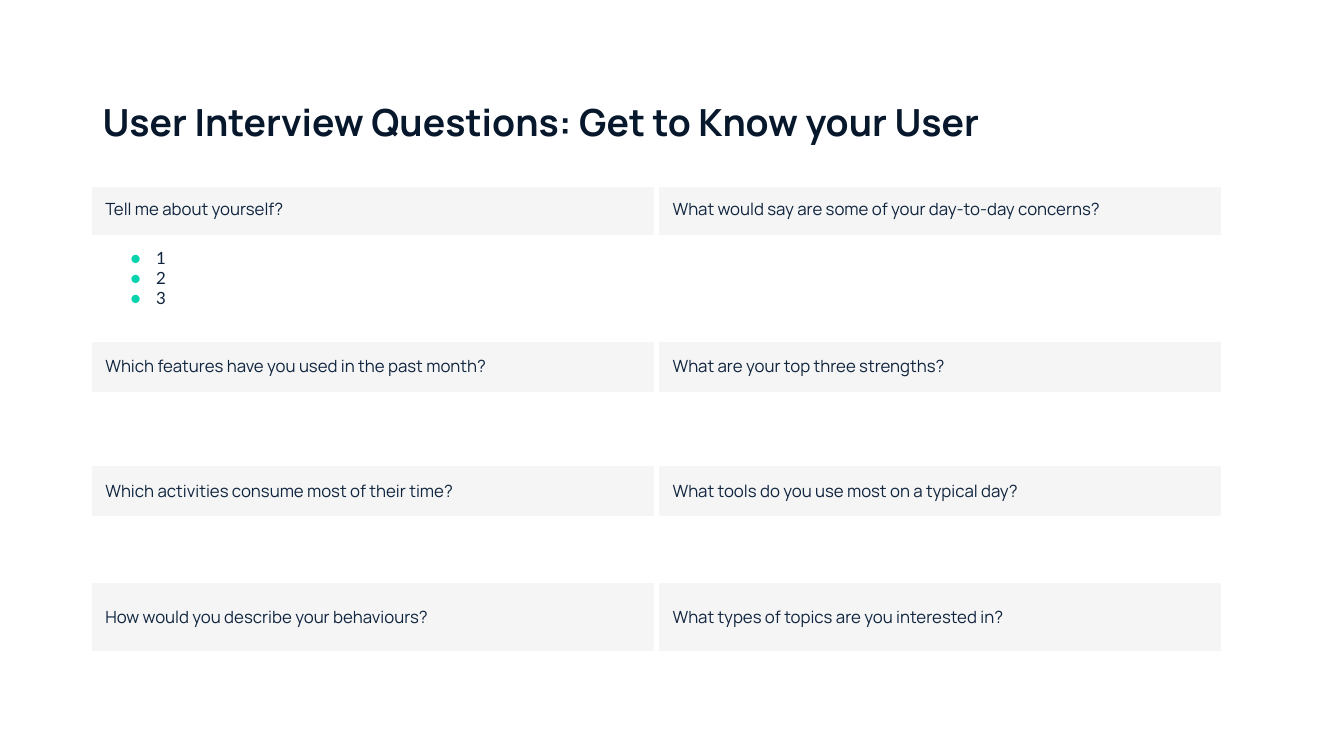
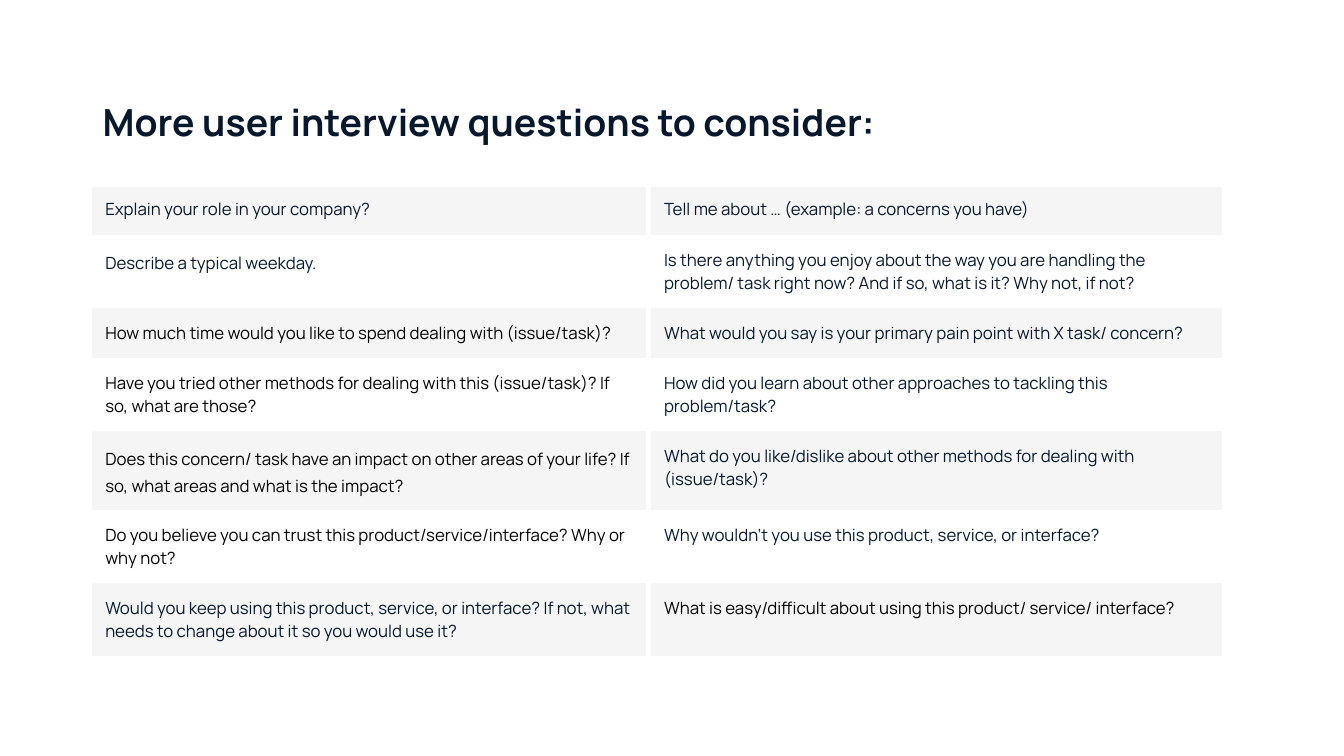
import pptx
import pptx.dml.color
import pptx.enum.text
import pptx.oxml
import pptx.oxml.ns
import pptx.util
from lxml import etree

Cm, Pt = pptx.util.Cm, pptx.util.Pt
qn = pptx.oxml.ns.qn

INK = {"navy": "07182C", "slate": "0F243E", "black": "000000",
       "band": "F5F5F5", "mint": "00D3AD", "white": "FFFFFF"}
FONT, LIST = "Manrope", "Lato"
LEFT, TOP = 1.69, 3.49

# Slide 1: questions in banded rows, answers in the rows between
ASK = [
    ["Tell me about yourself?",
     "What would say are some of your day-to-day concerns?"],
    ["1\n2\n3", ""],
    ["Which features have you used in the past month?",
     "What are your top three strengths?"],
    ["", ""],
    ["Which activities consume most of their time?",
     "What tools do you use most on a typical day?"],
    ["", ""],
    ["How would you describe your behaviours?",
     "What types of topics are you interested in?"],
    ["", ""],
]

# Slide 2: questions in every row
MORE = [
    ["Explain your role in your company?",
     "Tell me about … (example: a concerns you have)"],
    ["Describe a typical weekday.",
     "Is there anything you enjoy about the way you are handling the "
     "problem/ task right now? And if so, what is it? Why not, if not?"],
    ["How much time would you like to spend dealing with (issue/task)?",
     "What would you say is your primary pain point with X task/ concern?"],
    ["Have you tried other methods for dealing with this (issue/task)? "
     "If so, what are those?",
     "How did you learn about other approaches to tackling this "
     "problem/task?"],
    ["Does this concern/ task have an impact on other areas of your life? "
     "If so, what areas and what is the impact?",
     "What do you like/dislike about other methods for dealing with "
     "(issue/task)?"],
    ["Do you believe you can trust this product/service/interface? "
     "Why or why not?",
     "Why wouldn't you use this product, service, or interface?"],
    ["Would you keep using this product, service, or interface? If not, "
     "what needs to change about it so you would use it?",
     "What is easy/difficult about using this product/ service/ interface?"],
]
BLACK = {(2, 0), (3, 0), (4, 0), (5, 0), (6, 1)}
LOOSE = {(1, 0), (4, 0)}


def rgb(name):
    return pptx.dml.color.RGBColor.from_string(INK[name])


def style(par, size, ink, font=FONT, bold=False):
    for run in par.runs:
        run.font.size = Pt(size)
        run.font.name = font
        run.font.bold = bold
        run.font.color.rgb = rgb(ink)


def space(par, after):
    par.line_spacing = 1.15
    par.space_after = Pt(after)


def inset(box, side):
    box.margin_left = box.margin_right = Cm(side)
    box.margin_top = box.margin_bottom = Cm(0.25)


def add_title(slide, text):
    box = slide.shapes.add_textbox(Cm(LEFT), Cm(1.5), Cm(22.02), Cm(1.19))
    frame = box.text_frame
    frame.word_wrap = True
    inset(frame, 0.25)
    frame.text = text
    par = frame.paragraphs[0]
    space(par, 6)
    style(par, 20, "navy", bold=True)


def bullet(par):
    props = par._p.get_or_add_pPr()
    props.set("marL", str(Cm(0.96)))
    props.set("indent", str(Cm(-0.48)))
    color = etree.SubElement(props, qn("a:buClr"))
    etree.SubElement(color, qn("a:srgbClr"), val=INK["mint"])
    etree.SubElement(props, qn("a:buSzPts"), val="900")
    etree.SubElement(props, qn("a:buFont"), typeface=LIST)
    etree.SubElement(props, qn("a:buChar"), char="●")


def edge(cell, sides):
    """Draw white edges on the given sides and none on the others."""
    props = cell._tc.get_or_add_tcPr()
    for side in "LRTB":
        line = etree.SubElement(props, qn("a:ln" + side))
        if side in sides:
            line.set("w", str(Pt(3)))
            fill = etree.SubElement(line, qn("a:solidFill"))
            etree.SubElement(fill, qn("a:srgbClr"), val=INK["white"])
        else:
            line.set("w", "0")
            etree.SubElement(line, qn("a:noFill"))


def fill_cell(cell, text, row, ink):
    edge(cell, "LRT" if row == 0 else "LR")
    if row % 2 == 0 and text:
        cell.fill.solid()
        cell.fill.fore_color.rgb = rgb("band")
    else:
        cell.fill.background()
    if not text:
        return
    inset(cell, 0.3)
    cell.text_frame.text = text
    listed = "\n" in text
    for par in cell.text_frame.paragraphs:
        if listed:
            bullet(par)
        style(par, 9, ink, LIST if listed else FONT)


def add_grid(slide, data, cols, rows, ink, black=()):
    frame = slide.shapes.add_table(len(rows), len(cols), Cm(LEFT), Cm(TOP),
                                   Cm(sum(cols)), Cm(sum(rows)))
    grid = frame.table
    grid.first_row = grid.horz_banding = False
    for col, width in enumerate(cols):
        grid.columns[col].width = Cm(width)
    for row, height in enumerate(rows):
        grid.rows[row].height = Cm(height)
        for col, text in enumerate(data[row]):
            tone = "black" if (row, col) in black else ink
            fill_cell(grid.cell(row, col), text, row, tone)
    return grid


def main():
    deck = pptx.Presentation()
    deck.slide_width, deck.slide_height = Cm(25.4), Cm(14.29)
    blank = deck.slide_layouts[6]

    # First questions
    slide = deck.slides.add_slide(blank)
    add_title(slide, "User Interview Questions: Get to Know your User")
    grid = add_grid(slide, ASK, [10.72, 10.72],
                    [0.95, 2.02, 0.95, 1.4, 0.95, 1.27, 1.27, 1.27], "slate")
    for col in range(2):
        grid.cell(6, col).vertical_anchor = pptx.enum.text.MSO_ANCHOR.MIDDLE

    # Further questions
    slide = deck.slides.add_slide(blank)
    add_title(slide, "More user interview questions to consider:")
    grid = add_grid(slide, MORE, [10.56, 10.89],
                    [0.95, 1.38, 0.95, 1.38, 1.49, 1.38, 1.38],
                    "navy", BLACK)
    for row, col in LOOSE:
        space(grid.cell(row, col).text_frame.paragraphs[0], 18)

    deck.save("out.pptx")


if __name__ == "__main__":
    main()
